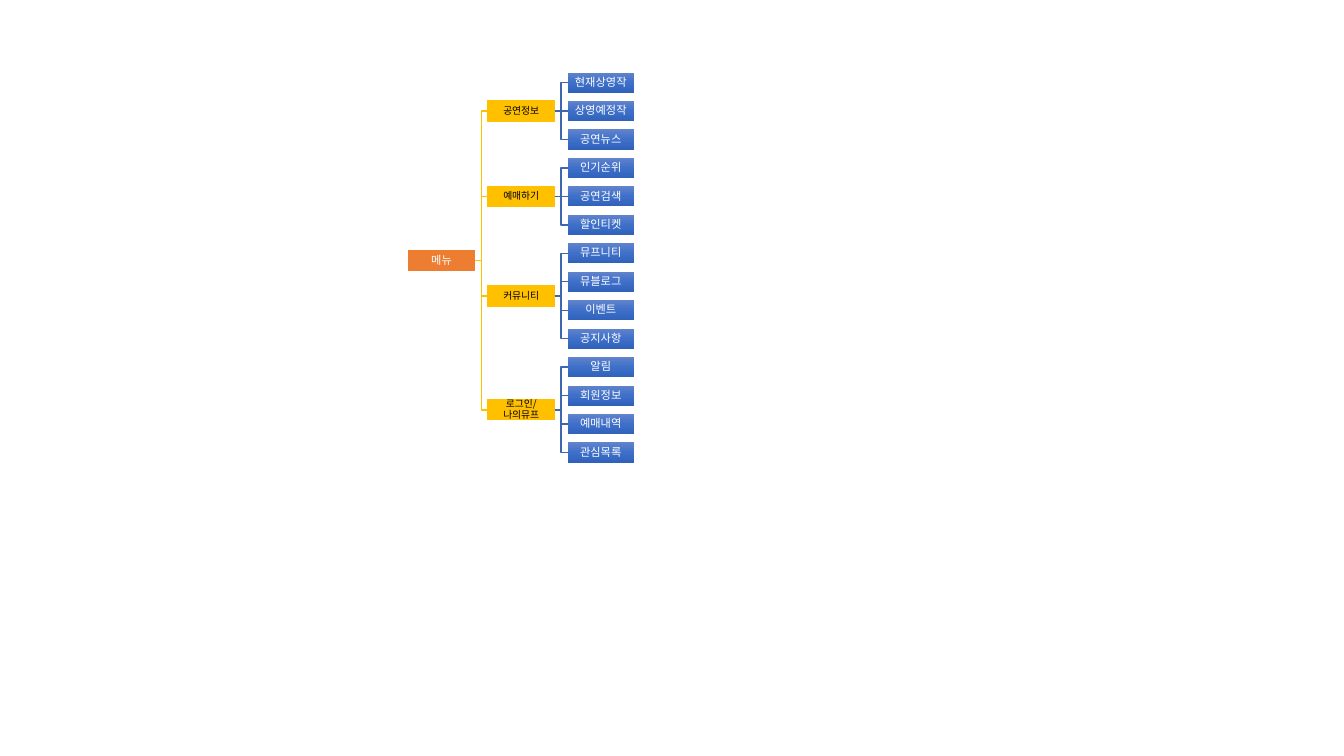
import copy

import pptx
import pptx.dml.color
import pptx.enum.shapes
import pptx.enum.text
import pptx.oxml.ns
import pptx.util

RGB = pptx.dml.color.RGBColor
Inches = pptx.util.Inches
Pt = pptx.util.Pt
qn = pptx.oxml.ns.qn

ORANGE = RGB(0xED, 0x7D, 0x31)
YELLOW = RGB(0xFF, 0xC0, 0x00)
BLUE_LINE = RGB(0x3E, 0x67, 0xB2)
BLUE_STOPS = [
    (0, RGB(0x61, 0x83, 0xCB)),
    (0.5, RGB(0x3E, 0x70, 0xCA)),
    (1, RGB(0x30, 0x62, 0xBB)),
]
WHITE = RGB(0xFF, 0xFF, 0xFF)
BLACK = RGB(0, 0, 0)
FONT = "Noto Sans CJK KR"

ROOT = "메뉴"
MENU = {
    "공연정보": ["현재상영작", "상영예정작", "공연뉴스"],
    "예매하기": ["인기순위", "공연검색", "할인티켓"],
    "커뮤니티": ["뮤프니티", "뮤블로그", "이벤트", "공지사항"],
    "로그인/\v나의뮤프": ["알림", "회원정보", "예매내역", "관심목록"],
}


def set_text(sp, text, size=8, color=WHITE, inset=0.01):
    tf = sp.text_frame
    tf.word_wrap = True
    tf.vertical_anchor = pptx.enum.text.MSO_ANCHOR.MIDDLE
    tf.margin_left = tf.margin_right = Inches(inset)
    tf.margin_top = tf.margin_bottom = Inches(inset)
    p = tf.paragraphs[0]
    p.text = text
    p.alignment = pptx.enum.text.PP_ALIGN.CENTER
    p.line_spacing = 0.9
    for r in p.runs:
        r.font.size = Pt(size)
        r.font.name = FONT
        r.font.color.rgb = color
        ea = r.font._element.makeelement(qn("a:ea"), {"typeface": FONT})
        r.font._element.append(ea)


def fill_gradient(sp, stops):
    """Fill the shape from top to bottom with three colour stops."""
    sp.fill.gradient()
    sp.fill.gradient_angle = 270
    first = sp._element.spPr.find(".//" + qn("a:gs"))
    first.addnext(copy.deepcopy(first))
    for stop, (position, color) in zip(sp.fill.gradient_stops, stops):
        stop.position = position
        stop.color.rgb = color


def add_box(s, text, left, middle, width, height, color=None, **text_format):
    """Add a box centred on middle; without a colour it gets the blue gradient."""
    sp = s.shapes.add_shape(
        pptx.enum.shapes.MSO_SHAPE.RECTANGLE,
        Inches(left), Inches(middle - height / 2), Inches(width), Inches(height),
    )
    sp.shadow.inherit = False
    if color is None:
        fill_gradient(sp, BLUE_STOPS)
        sp.line.fill.background()
    else:
        sp.fill.solid()
        sp.fill.fore_color.rgb = color
        sp.line.color.rgb = color
        sp.line.width = Pt(0.75)
    set_text(sp, text, **text_format)
    return sp


def join(s, parent, child, color):
    kinds = pptx.enum.shapes.MSO_CONNECTOR
    level = abs(parent.top - child.top) < Inches(0.01)
    line = s.shapes.add_connector(kinds.STRAIGHT if level else kinds.ELBOW, 0, 0, 0, 0)
    line.begin_connect(parent, 3)
    line.end_connect(child, 1)
    line.line.color.rgb = color
    line.line.width = Pt(1)
    spPr = line._element.spPr
    spPr.append(spPr.makeelement(qn("a:effectLst"), {}))


def add_menu_tree(s, left, top, width, height):
    """Draw root, branches and leaves in three columns; parents centre on children."""
    box_w, box_h = width * 0.295, 0.2
    column = (width - box_w) / 2
    row = (height - box_h) / (sum(map(len, MENU.values())) - 1)
    y = top + box_h / 2
    branches, middles = [], []
    for title, leaves in MENU.items():
        middle = y + row * (len(leaves) - 1) / 2
        branch = add_box(s, title, left + column, middle, box_w, box_h,
                         color=YELLOW, size=7, inset=0)
        branch.text_frame.paragraphs[0].runs[0].font.color.rgb = BLACK
        for r in branch.text_frame.paragraphs[0].runs:
            r.font.color.rgb = BLACK
        for leaf in leaves:
            sp = add_box(s, leaf, left + 2 * column, y, box_w, box_h)
            join(s, branch, sp, BLUE_LINE)
            y += row
        branches.append(branch)
        middles.append(middle)
    root = add_box(s, ROOT, left, (middles[0] + middles[-1]) / 2, box_w, box_h,
                   color=ORANGE)
    for branch in branches:
        join(s, root, branch, YELLOW)


def main():
    prs = pptx.Presentation()
    prs.slide_width, prs.slide_height = Inches(13.33), Inches(7.5)
    s = prs.slides.add_slide(prs.slide_layouts[6])
    add_menu_tree(s, 4.05, 0.72, 2.24, 3.87)
    prs.save("out.pptx")


if __name__ == "__main__":
    main()
